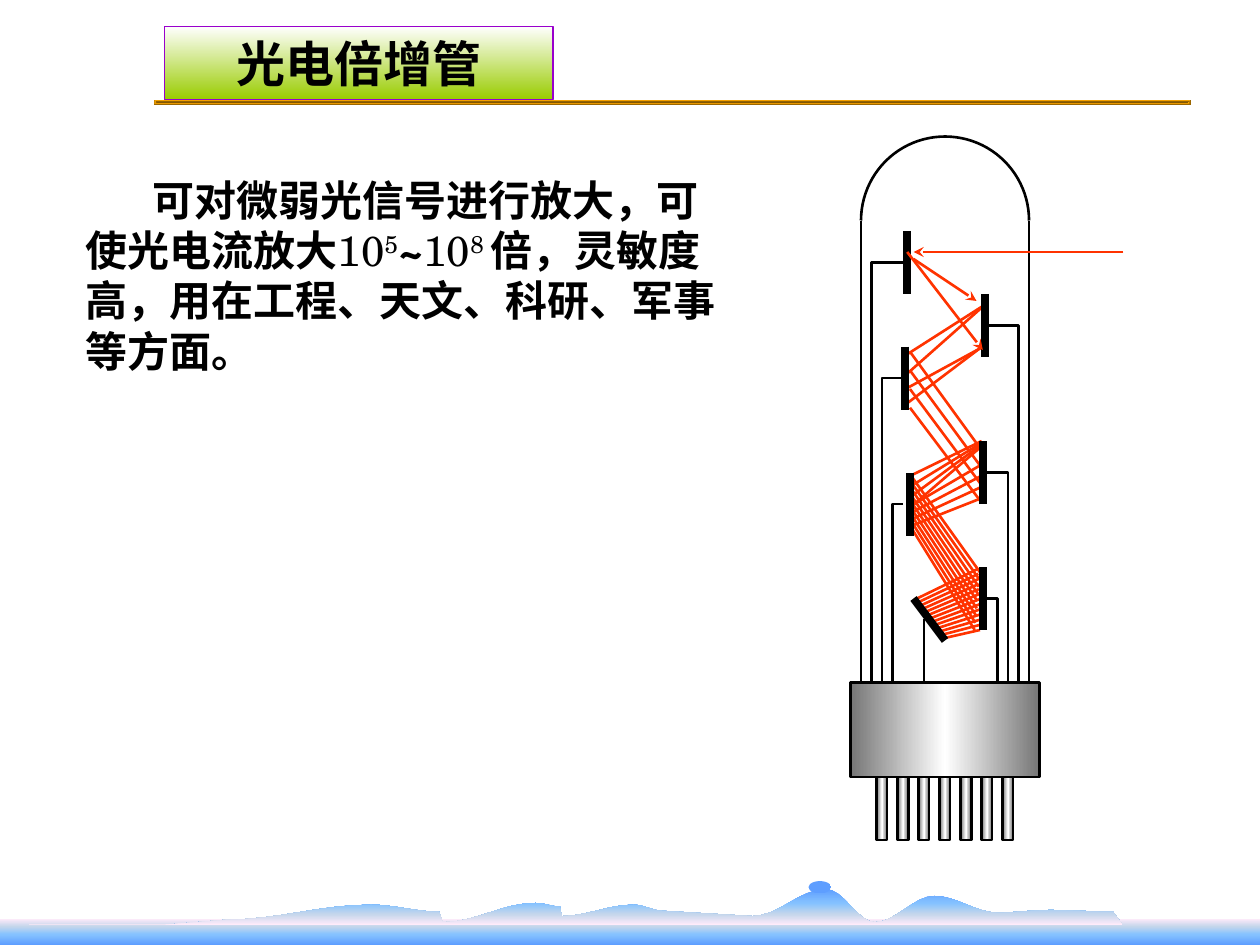
import collections
import math
import pptx
import pptx.util
import pptx.dml.color
import pptx.enum.shapes
import pptx.enum.text
import pptx.oxml
import pptx.oxml.ns

Pt = pptx.util.Pt
Shape = pptx.enum.shapes.MSO_SHAPE
HUES = {"ink": "000000", "ray": "FF3300", "edge": "9900CC", "white": "FFFFFF",
        "lime": "99CC00", "grey": "767676", "brown": "825600", "gold": "FFA800",
        "pink": "FFEBFA", "mist": "C4D6EB", "sky": "85C2FF", "blue": "5E9EFF"}
METAL = [(0, "grey"), (50, "white"), (100, "grey")]
SEA = [(0, "pink"), (30, "mist"), (60, "sky"), (100, "blue")]
LAND = [(0, "blue"), (40, "sky"), (70, "mist"), (100, "pink")]
STRIPE = list(zip((0, 13, 28, 43, 58, 72, 87, 100), ("brown", "gold") * 4))

LEFT = [(518.4, 132), (517, 198), (519.8, 270)]
RIGHT = [(563, 168), (561.6, 252), (561.6, 324)]
PLATE = 36
MID, AXIS, BASE = 540, 24, 390

Fan = collections.namedtuple("Fan", "count first last aim_first aim_last")
FANS = [
    Fan(2, (563, 174), (563, 174), (516, 204), (519, 213)),
    Fan(2, (562, 198), (560, 199), (518, 222), (519, 230)),
    Fan(4, (520, 201), (520, 233), (560, 256), (560, 286)),
    Fan(4, (561, 252), (561, 255), (520, 272), (519, 291)),
    Fan(4, (560, 266), (560, 285), (519, 290), (522, 300)),
    Fan(9, (520, 271), (521, 302), (560, 327), (557, 360)),
    Fan(13, (559, 325), (560, 360), (522, 343), (538, 365))]

Hill = collections.namedtuple("Hill", "left foot peak crest right brink")
HILLS = [
    Hill(130, 525.5, 212, 517, 251, 521),
    Hill(253, 527, 306, 516, 320, 518),
    Hill(321, 523.5, 362, 517, 379, 520.5),
    Hill(430, 523.5, 472, 508, 500, 527),
    Hill(500, 527, 534, 512, 570, 521.5),
    Hill(570, 521.5, 600, 520, 636, 521)]


def rgb(hue):
    return pptx.dml.color.RGBColor.from_string(HUES[hue])


def blend(item, stops, angle=None):
    item.fill.background()
    marks = "".join(f'<a:gs pos="{pos * 1000}"><a:srgbClr val="{HUES[hue]}"/></a:gs>'
                    for pos, hue in stops)
    way = (f'<a:lin ang="{angle * 60000}" scaled="0"/>' if angle is not None else
           '<a:path path="shape"><a:fillToRect l="50000" t="50000" r="50000" b="50000"/></a:path>')
    node = pptx.oxml.parse_xml(f'<a:gradFill {pptx.oxml.ns.nsdecls("a")} rotWithShape="1">'
                               f'<a:gsLst>{marks}</a:gsLst>{way}</a:gradFill>')
    props = item._element.spPr
    props.replace(props.find(pptx.oxml.ns.qn("a:noFill")), node)


def edge(item, hue=None, width=1.5):
    if hue is None:
        item.line.fill.background()
    else:
        item.line.color.rgb = rgb(hue)
        item.line.width = Pt(width)


def block(slide, box, stops, angle=None, hue=None, kind=Shape.RECTANGLE):
    item = slide.shapes.add_shape(kind, *map(Pt, box))
    item.shadow.inherit = False
    blend(item, stops, angle)
    edge(item, hue)


def stroke(slide, start, end, hue="ink", width=1.5, arrow=False):
    item = slide.shapes.add_connector(pptx.enum.shapes.MSO_CONNECTOR.STRAIGHT,
                                      *map(Pt, start + end))
    edge(item, hue, width)
    space = pptx.oxml.ns.nsdecls("a")
    if arrow:
        tip = pptx.oxml.parse_xml(f'<a:tailEnd {space} type="stealth"/>')
        item.line._get_or_add_ln().append(tip)
    item._element.spPr.append(pptx.oxml.parse_xml(f'<a:effectLst {space}/>'))


def trace(slide, dots, close=False):
    spots = [(Pt(x), Pt(y)) for x, y in dots]
    pen = slide.shapes.build_freeform(*spots[0])
    pen.add_line_segments(spots[1:], close=close)
    item = pen.convert_to_shape()
    item.shadow.inherit = False
    item.fill.background()
    return item


def write(para, text, form, lift=False):
    run = para.add_run()
    run.text = text
    run.font.color.rgb = rgb("ink")
    for name, value in form.items():
        setattr(run.font, name, value)
    if lift:
        run._r.get_or_add_rPr().set("baseline", "30000")


def head(slide):
    title = slide.shapes.title
    for name, size in zip(("left", "top", "width", "height"), (94, 15, 222, 42)):
        setattr(title, name, Pt(size))
    blend(title, [(0, "white"), (100, "lime")], 90)
    edge(title, "edge", 0.75)
    frame = title.text_frame
    frame.auto_size = pptx.enum.text.MSO_AUTO_SIZE.NONE
    frame.vertical_anchor = pptx.enum.text.MSO_ANCHOR.MIDDLE
    para = frame.paragraphs[0]
    para.alignment = pptx.enum.text.PP_ALIGN.CENTER
    write(para, "光电倍增管", {"name": "Arial", "size": Pt(28), "bold": True})


def body(slide):
    frame = slide.shapes.add_textbox(*map(Pt, (42, 96, 384, 122))).text_frame
    frame.word_wrap = True
    para = frame.paragraphs[0]
    para._p.get_or_add_pPr().set("indent", str(Pt(38)))
    for text, bold, lift in (("可对微弱光信号进行放大，可使光电流放大", True, False),
                             ("10", False, False), ("5", False, True),
                             ("~", True, False), ("10", False, False), ("8 ", False, True),
                             ("倍，灵敏度高，用在工程、天文、科研、军事等方面。", True, False)):
        write(para, text, {"name": "TeX Gyre Schola", "size": Pt(24), "bold": bold}, lift)


def between(start, end, part):
    return tuple(a + (b - a) * part for a, b in zip(start, end))


def spread(slide, fan):
    for step in range(fan.count):
        part = step / (fan.count - 1)
        stroke(slide, between(fan.first, fan.last, part),
               between(fan.aim_first, fan.aim_last, part), "ray")


def glass(slide):
    radius = 48
    dome = slide.shapes.add_shape(Shape.ARC, Pt(MID - radius), Pt(78),
                                  Pt(2 * radius), Pt(2 * radius))
    dome.shadow.inherit = False
    dome.adjustments[0] = 108
    dome.adjustments[1] = 0
    dome.fill.background()
    edge(dome, "ink")
    for x in (MID - radius, MID + radius):
        stroke(slide, (x, 78 + radius), (x, BASE))


def socket(slide):
    block(slide, (MID - 54, BASE, 108, 54), METAL, 0, "ink")
    for pin in range(-3, 4):
        block(slide, (MID - 3 + 12 * pin, BASE + 54, 6, 36), METAL, 0, "ink")


def plates(slide):
    for side, row in ((-1, LEFT), (1, RIGHT)):
        for order, (x, top) in enumerate(row):
            stroke(slide, (x, top), (x, top + PLATE), width=4.5)
            wire, level = MID + side * (42 - 6 * order), top + PLATE / 2
            lead = [(MID + side * AXIS, level), (wire, level), (wire, BASE)]
            edge(trace(slide, lead), "ink")
    stroke(slide, (522, 342), (540, 366), width=4.5)
    stroke(slide, (528, 354), (528, BASE))


def beams(slide):
    for start, end in (((642, 144), (522, 144)), ((518.4, 144), (561.6, 200)),
                       ((522, 148), (558, 172))):
        stroke(slide, start, end, "ray", arrow=True)


def ease(start, end, steps=8):
    (x, y), (far, goal) = start, end
    for step in range(steps + 1):
        part = step / steps
        yield x + (far - x) * part, y + (goal - y) * (1 - math.cos(math.pi * part)) / 2


def coast(slide):
    dots = [(16.5, 528.5), (94, 528.5)]
    for hill in HILLS:
        top = (hill.peak, hill.crest)
        dots += ease((hill.left, hill.foot), top)
        dots += ease(top, (hill.right, hill.brink))
    land = trace(slide, dots + [(641.5, 528.5)], True)
    blend(land, LAND, 90)
    edge(land)
    block(slide, (462, 503.5, 13, 7), [(0, "blue"), (100, "blue")], 90, kind=Shape.OVAL)


def main():
    deck = pptx.Presentation()
    deck.slide_width, deck.slide_height = Pt(720), Pt(540)
    slide = deck.slides.add_slide(deck.slide_layouts[5])
    block(slide, (88, 57, 592.5, 3), STRIPE)
    block(slide, (0, 525, 720, 15), SEA, 90)
    coast(slide)
    body(slide)
    for fan in FANS:
        spread(slide, fan)
    for draw in (glass, socket, plates, beams, head):
        draw(slide)
    deck.save("out.pptx")


if __name__ == "__main__":
    main()
